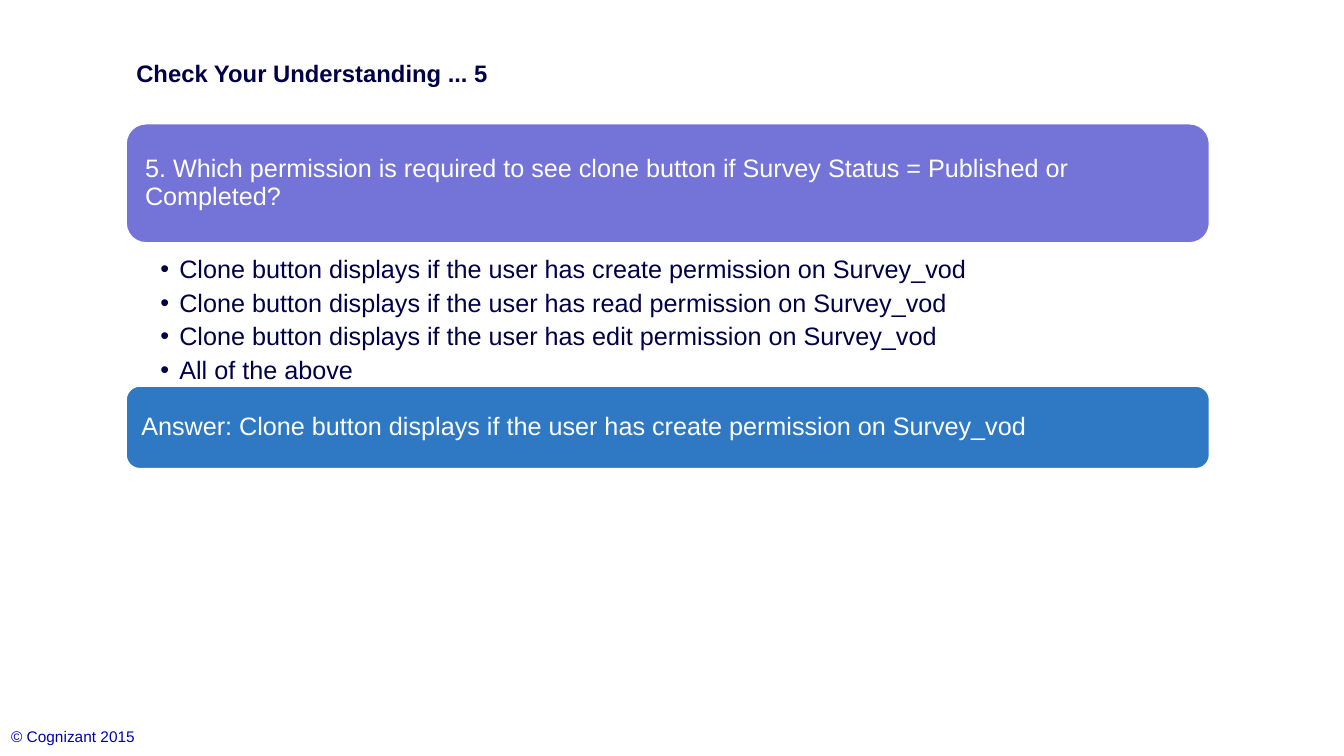
from lxml.etree import SubElement
from pptx import Presentation
from pptx.dml.color import RGBColor
from pptx.enum.shapes import MSO_SHAPE
from pptx.enum.text import MSO_ANCHOR, PP_ALIGN
from pptx.oxml.ns import qn
from pptx.util import Cm, Pt

LEFT, WIDTH = Cm(3.18), Cm(27.3)
NAVY, WHITE = "000048", "FFFFFF"


def rgb(value):
    return RGBColor.from_string(value)


def write(p, text, size=18, color=NAVY, bold=False, spacing=None, after=0, bullet=False):
    p.text = text
    p.alignment = PP_ALIGN.LEFT
    p.line_spacing = spacing
    p.space_after = Pt(after)
    if bullet:
        pPr = p._p.get_or_add_pPr()
        pPr.set("marL", str(Cm(0.48)))
        pPr.set("indent", str(-Cm(0.48)))
        SubElement(pPr, qn("a:buFont"), typeface="Arial")
        SubElement(pPr, qn("a:buChar"), char="•")
    font = p.runs[0].font
    font.name, font.size, font.bold = "Arial", Pt(size), bold
    font.color.rgb = rgb(color)


prs = Presentation()
prs.slide_width, prs.slide_height = Cm(33.87), Cm(19.05)
s = prs.slides.add_slide(prs.slide_layouts[5])

# Title
title = s.shapes.title
title.left, title.top, title.width, title.height = LEFT, Cm(0.91), Cm(19.25), Cm(1.85)
title.text_frame.vertical_anchor = MSO_ANCHOR.MIDDLE
write(title.text_frame.paragraphs[0], "Check Your Understanding ... 5", size=17, bold=True)

# Question and answer cards
cards = [
    ("5. Which permission is required to see clone button if Survey Status = Published or Completed?",
     3.12, 3.0, 0.33, "7373D8"),
    ("Answer: Clone button displays if the user has create permission on Survey_vod",
     9.73, 2.08, 0.28, "2F78C4"),
]
for text, top, height, inset, color in cards:
    sp = s.shapes.add_shape(MSO_SHAPE.ROUNDED_RECTANGLE, LEFT, Cm(top), WIDTH, Cm(height))
    sp.shadow.inherit = False
    sp.fill.solid()
    sp.fill.fore_color.rgb = rgb(color)
    sp.line.color.rgb = rgb(WHITE)
    sp.line.width = Pt(1)
    tf = sp.text_frame
    tf.word_wrap = True
    tf.vertical_anchor = MSO_ANCHOR.MIDDLE
    tf.margin_left = tf.margin_right = Cm(inset)
    write(tf.paragraphs[0], text, color=WHITE, spacing=0.9)

# Answer options
options = [f"Clone button displays if the user has {right} permission on Survey_vod"
           for right in ("create", "read", "edit")] + ["All of the above"]
tf = s.shapes.add_textbox(LEFT, Cm(6.4), WIDTH, Cm(3.28)).text_frame
tf.word_wrap = True
tf.margin_left, tf.margin_right = Cm(0.86), Cm(0.36)
tf.margin_top = tf.margin_bottom = Cm(0.08)
for i, option in enumerate(options):
    p = tf.add_paragraph() if i else tf.paragraphs[0]
    write(p, option, spacing=0.9, after=4.4, bullet=True)

# Copyright line
tf = s.shapes.add_textbox(Cm(0.03), Cm(18.21), Cm(5.08), Cm(0.64)).text_frame
tf.word_wrap = True
write(tf.paragraphs[0], "© Cognizant 2015", size=11, color="0000B6")

prs.save("out.pptx")
